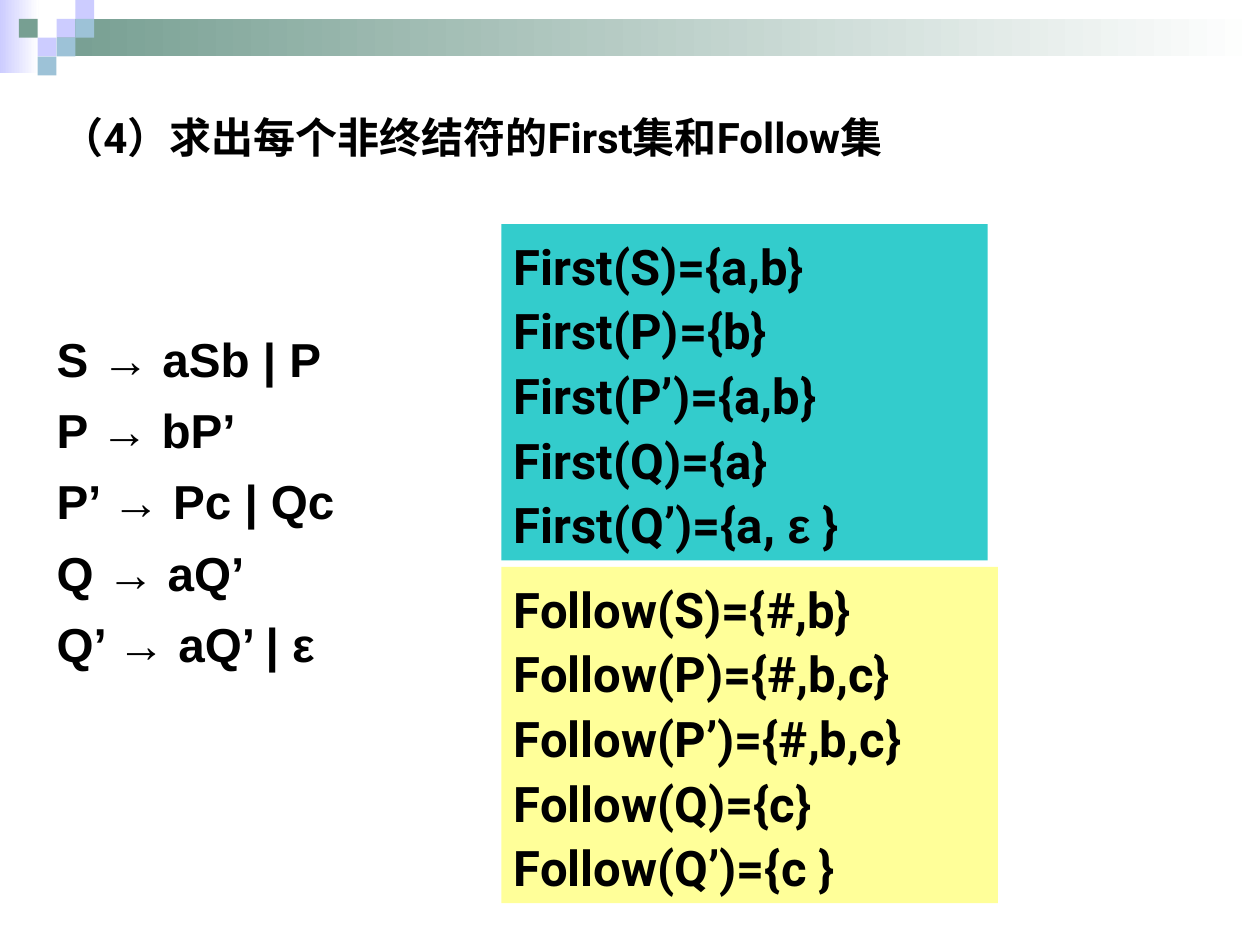
from pptx import Presentation
from pptx.dml.color import RGBColor
from pptx.enum.shapes import MSO_SHAPE
from pptx.enum.text import MSO_ANCHOR, PP_ALIGN
from pptx.util import Cm, Pt

RECT = MSO_SHAPE.RECTANGLE
TOP = MSO_ANCHOR.TOP
LEFT = PP_ALIGN.LEFT

BLACK = RGBColor(0, 0, 0)
WHITE = RGBColor(0xFF, 0xFF, 0xFF)
LILAC = RGBColor(0xCC, 0xCC, 0xFF)
GREEN = RGBColor(0x77, 0x9F, 0x92)
BLUE = RGBColor(0x9D, 0xC2, 0xD7)
TEAL = RGBColor(0x33, 0xCC, 0xCC)
YELLOW = RGBColor(0xFF, 0xFF, 0x99)

TITLE = "（4）求出每个非终结符的First集和Follow集"
RULES = [
    ("S", "aSb | P"),
    ("P", "bP’"),
    ("P’", "Pc | Qc"),
    ("Q", "aQ’"),
    ("Q’", "aQ’ | ε"),
]
FIRST = ["First(S)={a,b}", "First(P)={b}", "First(P’)={a,b}",
         "First(Q)={a}", "First(Q’)={a, ε }"]
FOLLOW = ["Follow(S)={#,b}", "Follow(P)={#,b,c}", "Follow(P’)={#,b,c}",
          "Follow(Q)={c}", "Follow(Q’)={c }"]

# Set boxes: lines, fill, top, width
SETS = [(FIRST, TEAL, 4.52, 9.8), (FOLLOW, YELLOW, 11.43, 10.01)]

# Banner: gradient bars (left, top, width, height, start colour)
BARS = [(0, 0, 0.78, 1.47, LILAC), (1.14, 0.38, 24.26, 0.76, GREEN)]
# Banner: squares (column, row, colour) on a grid of SIDE
SIDE = 0.38
TILES = [(3, 1, LILAC), (4, 0, LILAC), (4, 1, BLUE), (2, 2, LILAC),
         (1, 1, GREEN), (3, 2, BLUE), (2, 3, BLUE)]


def add_rect(left, top, width, height, color, fade=False):
    """Add a borderless box, either plain or fading to white."""
    box = slide.shapes.add_shape(RECT, Cm(left), Cm(top), Cm(width), Cm(height))
    box.shadow.inherit = False
    box.line.fill.background()
    if fade:
        box.fill.gradient()
        box.fill.gradient_angle = 0
        for stop, tint in zip(box.fill.gradient_stops, (color, WHITE)):
            stop.color.rgb = tint
    else:
        box.fill.solid()
        box.fill.fore_color.rgb = color
    return box


def set_font(par, name, size):
    par.alignment = LEFT
    font = par.font
    font.name, font.size, font.bold = name, Pt(size), True
    font.color.rgb = BLACK


def lines_in(box, count):
    """Yield the given number of paragraphs of a top-aligned box."""
    frame = box.text_frame
    frame.word_wrap = True
    frame.vertical_anchor = TOP
    for i in range(count):
        yield frame.add_paragraph() if i else frame.paragraphs[0]


prs = Presentation()
prs.slide_width, prs.slide_height = Cm(25.4), Cm(19.05)
slide = prs.slides.add_slide(prs.slide_layouts[6])

for bar in BARS:
    add_rect(*bar, fade=True)
for col, row, color in TILES:
    add_rect(col * SIDE, row * SIDE, SIDE, SIDE, color)

box = add_rect(0.89, 6.53, 8.41, 7.04, WHITE)
for i, (par, (head, body)) in enumerate(zip(lines_in(box, len(RULES)), RULES)):
    set_font(par, "Arial", 27.2)
    if i:
        par.space_before = Pt(8)
    for text in (f"{head} ", "→", f" {body}"):
        run = par.add_run()
        run.text = text
        if text == "→":
            run.font.bold = False

for lines, color, top, width in SETS:
    box = add_rect(10.11, top, width, 6.78, color)
    for par, line in zip(lines_in(box, len(lines)), lines):
        set_font(par, "Roboto", 28)
        par.line_spacing = 1.1
        for text in line.partition("ε"):
            if text:
                run = par.add_run()
                run.text = text
                if text == "ε":
                    run.font.name = "Arial"

title = slide.shapes.add_textbox(Cm(0.99), Cm(2.13), Cm(18.72), Cm(1.27))
title.text_frame.word_wrap = False
par = title.text_frame.paragraphs[0]
par.text = TITLE
set_font(par, "Roboto", 24)

prs.save("out.pptx")
